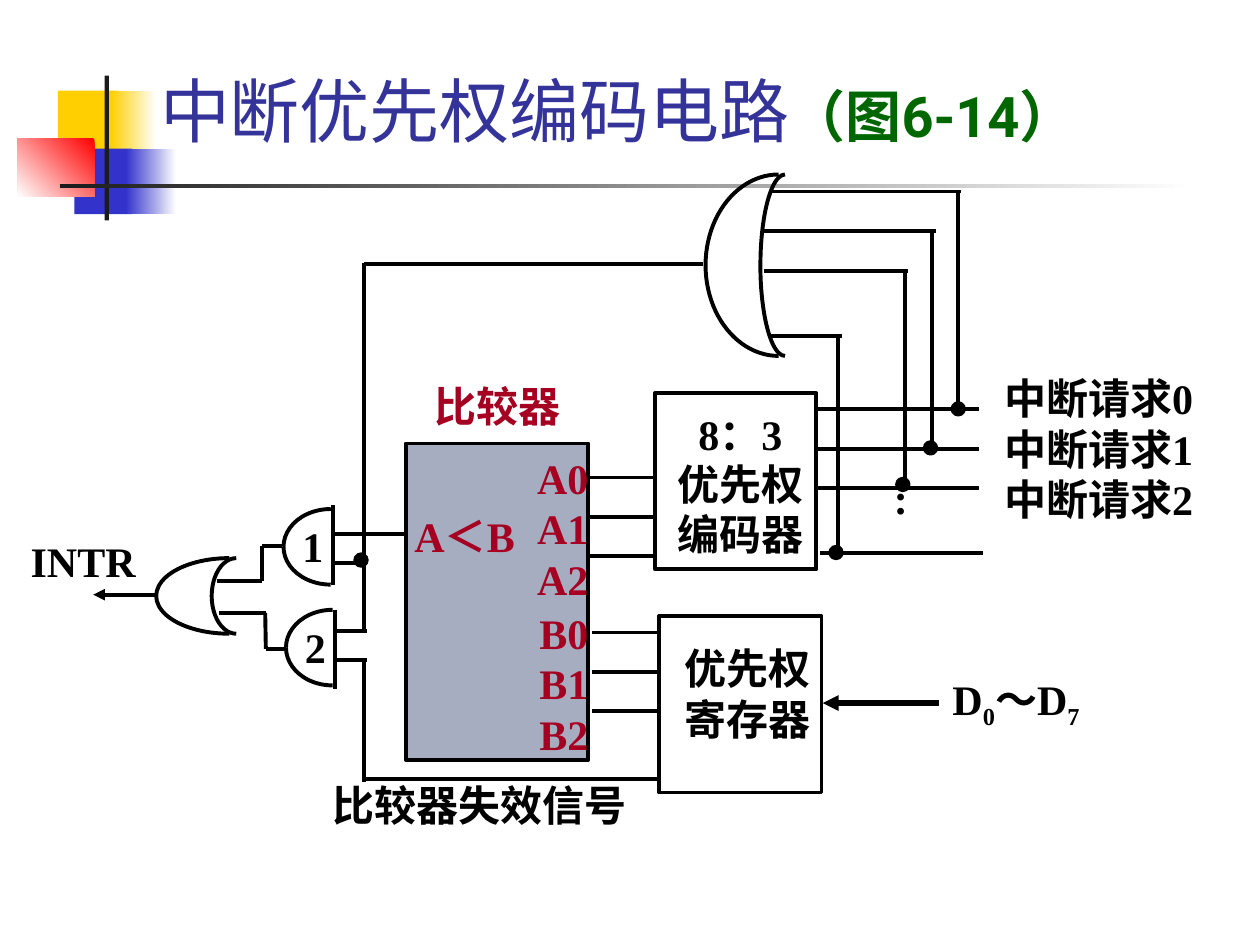
from dataclasses import dataclass
from lxml.etree import SubElement
from pptx import Presentation
from pptx.dml.color import RGBColor as RGB
from pptx.enum.shapes import MSO_CONNECTOR as CONN, MSO_SHAPE as SHAPE
from pptx.enum.text import MSO_ANCHOR as ANCHOR, PP_ALIGN as ALIGN
from pptx.oxml.ns import qn
from pptx.slide import Slide
from pptx.util import Emu, Inches, Pt

BLACK, WHITE = RGB(0, 0, 0), RGB(255, 255, 255)
INK, YELLOW = RGB(0x1C, 0x1C, 0x1C), RGB(0xFF, 0xCF, 0x01)
BLUE, RED = RGB(0x33, 0x33, 0xCC), RGB(255, 0, 0)
NAVY, GREEN = RGB(0x33, 0x33, 0x99), RGB(0, 0x66, 0)
CRIMSON, STEEL = RGB(0xA5, 0, 0x21), RGB(0xA6, 0xAD, 0xC0)


def assign(obj, **values):
    for name, value in values.items():
        setattr(obj, name, value)


@dataclass
class Diagram:
    """Draws on one slide, with lengths on a grid of 100 columns and 75 rows."""
    slide: Slide
    cell: int
    font: str = "Times New Roman"
    size: float = 24
    stroke: float = 2.25

    def at(self, *lengths):
        return [Emu(round(n * self.cell)) for n in lengths]

    def outline(self, sp, width=None):
        sp.line.color.rgb = BLACK
        sp.line.width = Pt(width or self.stroke)

    def shape(self, kind, box, fill=None, line=True):
        sp = self.slide.shapes.add_shape(kind, *self.at(*box))
        sp.shadow.inherit = False
        if fill is None:
            sp.fill.background()
        else:
            sp.fill.solid()
            sp.fill.fore_color.rgb = fill
        if line:
            self.outline(sp)
        else:
            sp.line.fill.background()
        return sp

    def fade(self, box, start, end, angle=180):
        sp = self.shape(SHAPE.RECTANGLE, box, line=False)
        sp.fill.gradient()
        sp.fill.gradient_angle = angle
        for stop, color in zip(sp.fill.gradient_stops, (start, end)):
            stop.color.rgb = color

    def arc(self, *box):
        for start in (90, 180):
            sp = self.shape(SHAPE.ARC, box)
            for i, degrees in enumerate((start, start + 90)):
                sp.adjustments[i] = degrees * 0.6

    def wire(self, x1, y1, x2, y2, arrow=False, width=None):
        sp = self.slide.shapes.add_connector(CONN.STRAIGHT, *self.at(x1, y1, x2, y2))
        self.outline(sp, width)
        SubElement(sp._element.spPr, qn("a:effectLst"))
        if arrow:
            SubElement(sp.line._get_or_add_ln(), qn("a:tailEnd"), type="triangle")

    def dot(self, x, y):
        self.shape(SHAPE.OVAL, (x, y, 0.9, 0.9), BLACK)

    def run(self, p, text, color, **fmt):
        r = p.add_run()
        r.text = text
        r.font.color.rgb = color
        assign(r.font, **{"name": self.font, "size": Pt(self.size), "bold": True, **fmt})
        return r

    def text(self, box, lines, align=ALIGN.LEFT, color=BLACK):
        tf = self.slide.shapes.add_textbox(*self.at(*box)).text_frame
        margins = ("margin_left", "margin_top", "margin_right", "margin_bottom")
        assign(tf, word_wrap=True, **dict.fromkeys(margins, Inches(0.01)))
        for i, line in enumerate(lines):
            p = tf.add_paragraph() if i else tf.paragraphs[0]
            assign(p, alignment=align, line_spacing=Pt(self.size * 1.2))
            for part in line if isinstance(line, list) else [line]:
                r = self.run(p, part, color)
                if isinstance(line, list) and part.isdigit():
                    r._r.get_or_add_rPr().set("baseline", "-25000")
        return tf

    def title(self, box, parts):
        sp = self.slide.shapes.title
        assign(sp, **dict(zip(("left", "top", "width", "height"), self.at(*box))))
        assign(sp.text_frame, vertical_anchor=ANCHOR.BOTTOM, word_wrap=True)
        p = sp.text_frame.paragraphs[0]
        p.alignment = ALIGN.LEFT
        for text, color, size, bold in parts:
            self.run(p, text, color, name="Roboto", size=Pt(size), bold=bold)


def decorate(d):
    d.shape(SHAPE.RECTANGLE, (4.6, 7.2, 4.8, 5.2), YELLOW, False)
    d.fade((8.8, 7.2, 3.6, 5.2), WHITE, YELLOW)
    d.shape(SHAPE.RECTANGLE, (5.9, 11.8, 4.6, 5.2), BLUE, False)
    d.fade((10, 11.8, 4, 5.2), WHITE, BLUE)
    d.fade((1.4, 11, 6.1, 4.6), RED, WHITE, 225)
    d.shape(SHAPE.RECTANGLE, (8.3, 6, 0.35, 11.5), INK, False)
    d.fade((4.8, 14.6, 90, 0.35), WHITE, INK)


def draw_blocks(d):
    d.shape(SHAPE.RECTANGLE, (32.2, 35.2, 14.5, 25.1), STEEL)
    d.shape(SHAPE.RECTANGLE, (52, 31.2, 12.8, 14))
    d.shape(SHAPE.RECTANGLE, (52.3, 48.9, 12.9, 14))
    for i in range(3):
        d.wire(46.7, 37.9 + 3.12 * i, 52.1, 37.9 + 3.12 * i)
        d.wire(47, 50.2 + 3.13 * i, 52.4, 50.2 + 3.13 * i)


def draw_requests(d):
    d.arc(56, 13.85, 11.6, 14.4)
    d.arc(60.35, 13.85, 3.9, 14.4)
    requests = [(76, 61.2, 15.2, 32.45, 64.8), (74, 60.6, 18.35, 35.6, 64.8),
                (71.8, 60.6, 21.5, 38.75, 64.8), (66.5, 61.2, 26.65, 43.9, 65.1)]
    for x, gate_x, gate_y, y, start in requests:
        d.wire(gate_x, gate_y, x + 0.3, gate_y)
        d.wire(x, y, x, gate_y)
        d.wire(start, y, start + 12.9, y)
    for x, y in [(75.6, 32), (73.4, 35.1), (71.2, 38), (65.9, 43.4), (28.2, 44)]:
        d.dot(x, y)
    d.wire(28.9, 20.95, 55.8, 20.95)
    d.wire(74.5, 55.8, 65.3, 55.8, arrow=True, width=3)


def draw_gates(d):
    d.arc(12.4, 44.3, 11.6, 6)
    d.arc(16.8, 44.3, 3.9, 6)
    d.arc(22.5, 40.4, 7.5, 6)
    d.arc(22.7, 48.4, 7.4, 6)
    wires = [(26.4, 40.1, 26.4, 46.4), (26.6, 48.4, 26.6, 54.7),
             (26.4, 42.4, 32.3, 42.4), (26.4, 44.7, 28.9, 44.7),
             (26.6, 50.1, 29.1, 50.1), (26.6, 52.4, 29.1, 52.4),
             (17.2, 46.1, 20.8, 46.1), (20.8, 46.1, 20.8, 43.3),
             (20.8, 43.3, 22.4, 43.3), (17.4, 48.65, 21.1, 48.65),
             (21.05, 48.65, 21.1, 51.5), (21.1, 51.5, 22.7, 51.5),
             (28.9, 20.9, 28.9, 50.1), (28.9, 52.4, 28.9, 62.1),
             (28.9, 61.8, 52.3, 61.8)]
    for ends in wires:
        d.wire(*ends)
    d.wire(12.4, 47.2, 7.4, 47.2, arrow=True)


def label(d):
    d.text((25.2, 61.8, 25.7, 6), ["比较器失效信号"], ALIGN.CENTER)
    d.text((32.2, 30.1, 14.5, 6.6), ["比较器"], ALIGN.CENTER, CRIMSON)
    d.text((51.5, 32.3, 14.5, 14), ["8：3", "优先权", "编码器"], ALIGN.CENTER)
    d.text((52.3, 50.9, 14, 13.2), ["优先权", "寄存器"], ALIGN.CENTER)
    d.text((75.5, 53.9, 15, 6), [["D", "0", "～D", "7"]])
    d.text((24.1, 49.2, 3.4, 5.7), ["2"])
    d.text((23.9, 41.2, 3.4, 5.7), ["1"])
    d.text((32.8, 40.4, 11.7, 5.7), ["A＜B"], color=CRIMSON)
    d.text((79.6, 29.5, 15.6, 12), [f"中断请求{i}" for i in range(3)])
    for name, y in (("A", 35.8), ("B", 48.1)):
        d.text((39.2, y, 7.6, 12), [f"{name}{i}" for i in range(3)], ALIGN.RIGHT, CRIMSON)
    d.text((1.3, 42.4, 10.6, 4.3), ["INTR"], ALIGN.CENTER)
    tf = d.text((68.7, 37.7, 6, 7.3), ["…"], ALIGN.CENTER)
    tf._txBody.bodyPr.set("vert", "eaVert")


def main():
    prs = Presentation()
    assign(prs, slide_width=Inches(10), slide_height=Inches(7.5))
    d = Diagram(prs.slides.add_slide(prs.slide_layouts[5]), prs.slide_width // 100)
    decorate(d)
    d.title((11.7, 3.3, 85.2, 9.2), [("中断优先权编码电路", NAVY, 40, False),
                                     ("（图6-14）", GREEN, 32, True)])
    for draw in (draw_blocks, draw_requests, draw_gates, label):
        draw(d)
    prs.save("out.pptx")


if __name__ == "__main__":
    main()
